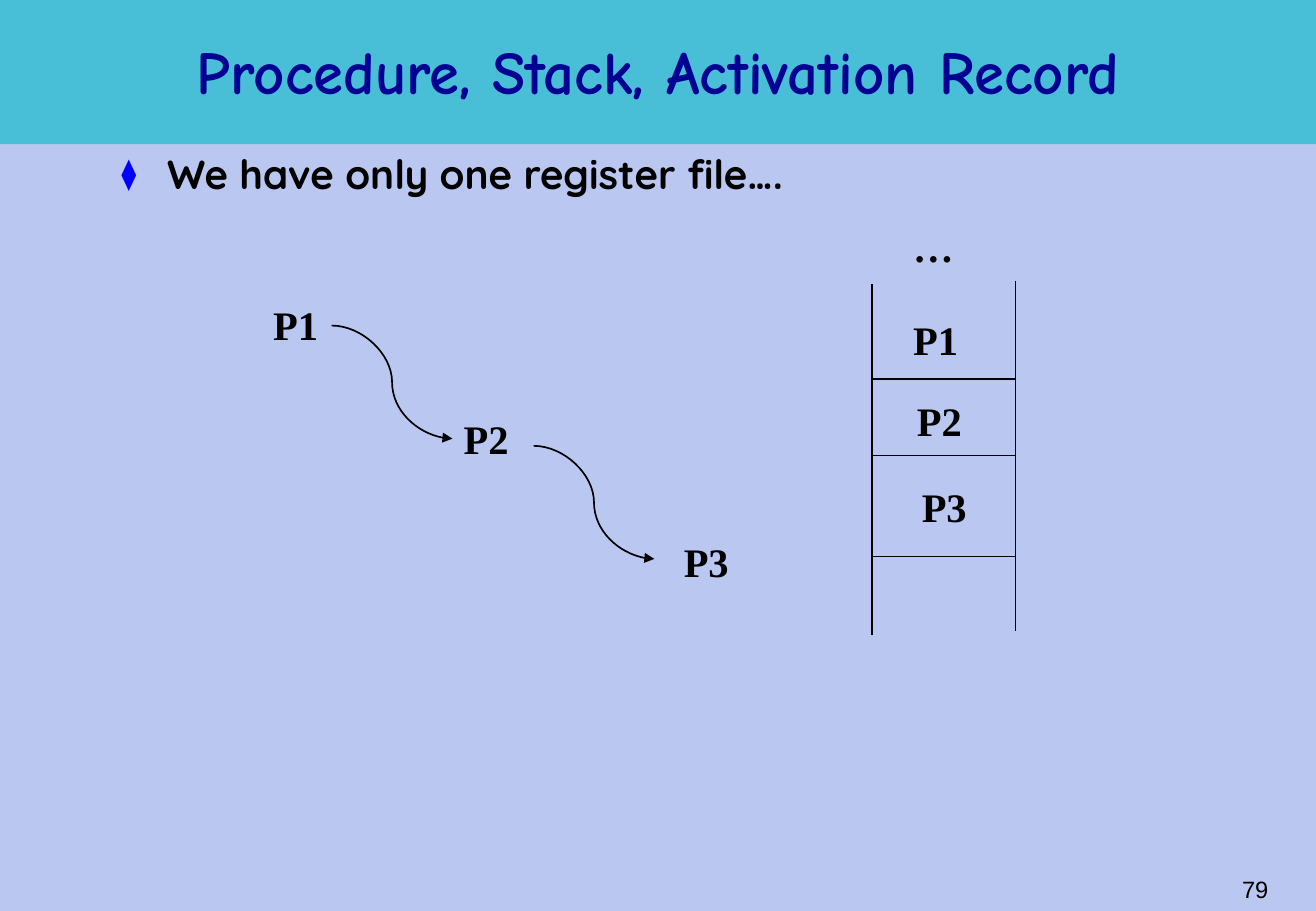
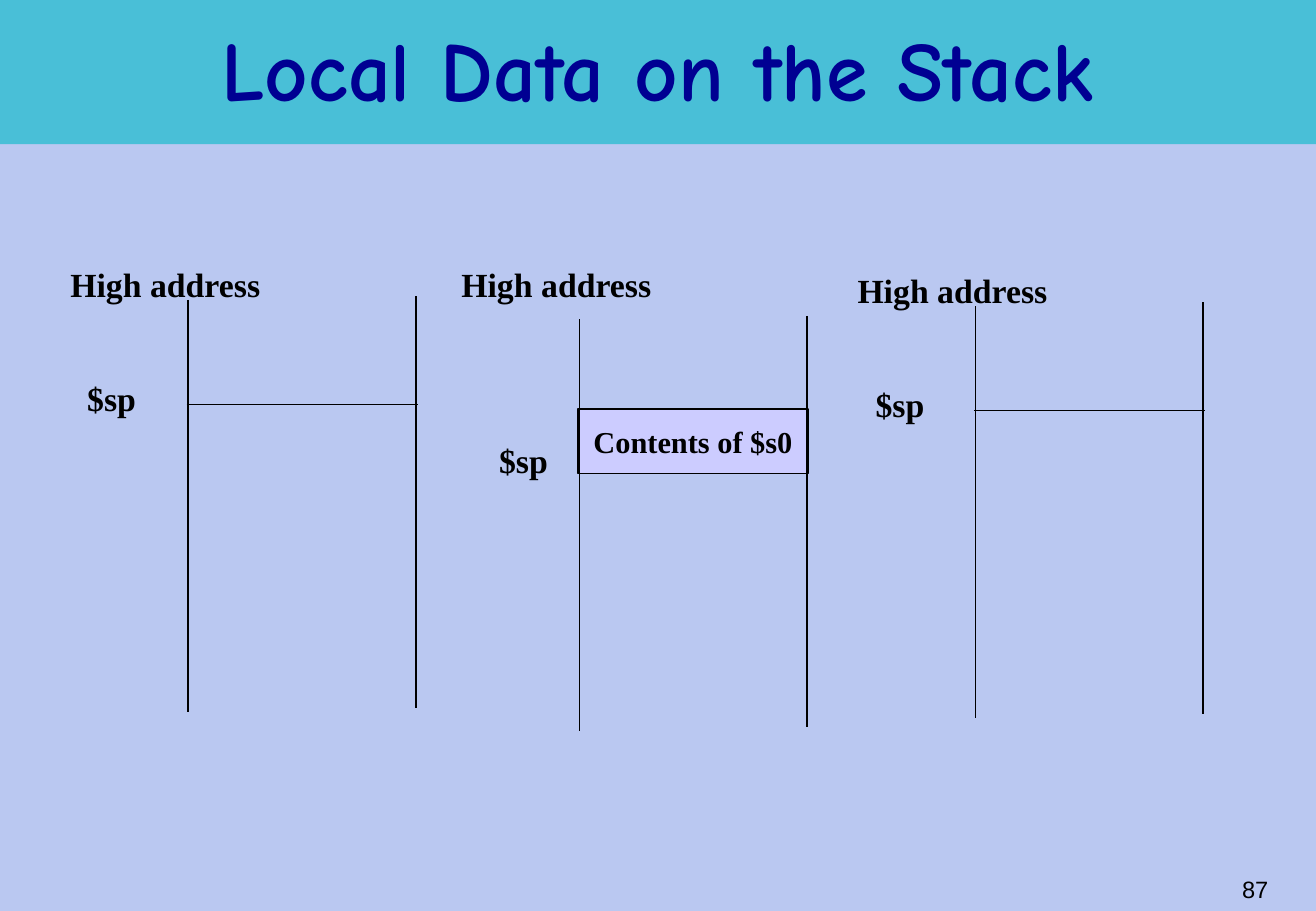
from dataclasses import dataclass

from lxml.etree import SubElement
from pptx import Presentation
from pptx.dml.color import RGBColor
from pptx.enum.shapes import MSO_CONNECTOR, MSO_SHAPE
from pptx.enum.text import MSO_ANCHOR, MSO_AUTO_SIZE, PP_ALIGN
from pptx.oxml.ns import qn
from pptx.presentation import Presentation as Deck
from pptx.shapes.autoshape import Shape
from pptx.shapes.connector import Connector
from pptx.slide import Slide
from pptx.text.text import Font
from pptx.util import Pt

BACKGROUND = RGBColor(0xBA, 0xC8, 0xF1)
BAND = RGBColor(0x49, 0xBF, 0xD7)
TITLE = RGBColor(0x00, 0x00, 0x92)
INK = RGBColor(0x00, 0x00, 0x00)
SAVED = RGBColor(0xCC, 0xCC, 0xFF)
BULLET = "0000FF"

SLIDE_WIDTH, SLIDE_HEIGHT = 780, 540
TITLE_CONTENT, TITLE_ONLY = 1, 5
WALL_RISE = 2.2
FRAME_SPAN, FRAME_HEIGHT = 135, 244


@dataclass(frozen=True)
class Label:
    text: str
    left: float
    top: float
    width: float = 41.5
    height: float = 36.5
    size: float = 24


@dataclass(frozen=True)
class Call:
    left: float
    top: float


@dataclass(frozen=True)
class Frame:
    left: float
    top: float
    address_top: float
    pointer_left: float
    pointer_top: float
    has_boundary: bool = True


PROCEDURES = [
    Label("P1", 154.8, 174.2),
    Label("P2", 267.8, 241.9),
    Label("P3", 398.2, 314.6),
]
CALLS = [Call(196.6, 193), Call(316.3, 264.3)]
RECORDS = [
    Label("…", 534.2, 128.2),
    Label("P1", 534.2, 183.4),
    Label("P2", 536.4, 231.1),
    Label("P3", 539.3, 282.2),
]
RECORD_BOUNDARIES = [224.6, 270, 329.8]
FRAMES = [
    Frame(111.6, 177.8, 152.6, 44.6, 220.3),
    Frame(343.4, 189.4, 152.6, 288.7, 257, has_boundary=False),
    Frame(578.2, 181.4, 156.2, 511.9, 223.9),
]


def style_font(font: Font, name: str, size: float,
               color: RGBColor = INK, bold: bool = True) -> None:
    font.name, font.size, font.bold = name, Pt(size), bold
    font.color.rgb = color


def place(shape: Shape, left: float, top: float, width: float, height: float) -> None:
    shape.left, shape.top = Pt(left), Pt(top)
    shape.width, shape.height = Pt(width), Pt(height)


def add_rectangle(slide: Slide, left: float, top: float, width: float,
                  height: float, fill: RGBColor) -> Shape:
    rectangle = slide.shapes.add_shape(
        MSO_SHAPE.RECTANGLE, Pt(left), Pt(top), Pt(width), Pt(height))
    rectangle.shadow.inherit = False
    rectangle.fill.solid()
    rectangle.fill.fore_color.rgb = fill
    return rectangle


def add_line(slide: Slide, x1: float, y1: float, x2: float, y2: float,
             kind: MSO_CONNECTOR = MSO_CONNECTOR.STRAIGHT) -> Connector:
    line = slide.shapes.add_connector(kind, Pt(x1), Pt(y1), Pt(x2), Pt(y2))
    line.line.color.rgb = INK
    line.line.width = Pt(1)
    SubElement(line.element.spPr, qn("a:effectLst"))
    return line


def add_call(slide: Slide, call: Call) -> None:
    arrow = add_line(slide, call.left, call.top, call.left + 71.6, call.top + 67,
                     MSO_CONNECTOR.CURVE)
    SubElement(arrow.element.spPr.find(qn("a:ln")), qn("a:tailEnd"), type="triangle")


def add_walls(slide: Slide, left: float, top: float, span: float, height: float) -> None:
    add_line(slide, left, top, left, top + height)
    add_line(slide, left + span, top - WALL_RISE,
             left + span, top + height - WALL_RISE)


def add_label(slide: Slide, label: Label) -> None:
    box = slide.shapes.add_textbox(
        Pt(label.left), Pt(label.top), Pt(label.width), Pt(label.height))
    frame = box.text_frame
    frame.text = label.text
    frame.word_wrap = False
    frame.auto_size = MSO_AUTO_SIZE.SHAPE_TO_FIT_TEXT
    style_font(frame.paragraphs[0].runs[0].font, "Times New Roman", label.size)


def add_page_number(slide: Slide, number: int) -> None:
    box = slide.shapes.add_textbox(Pt(596.2), Pt(509), Pt(162.7), Pt(36))
    frame = box.text_frame
    frame.text = str(number)
    frame.word_wrap = True
    frame.vertical_anchor = MSO_ANCHOR.MIDDLE
    paragraph = frame.paragraphs[0]
    paragraph.alignment = PP_ALIGN.RIGHT
    style_font(paragraph.runs[0].font, "Arial", 14, bold=False)


def add_slide(deck: Deck, layout: int, title: str, size: float, number: int) -> Slide:
    slide = deck.slides.add_slide(deck.slide_layouts[layout])
    heading = slide.shapes.title
    place(heading, 58.3, 9.4, 663, 71.3)
    frame = heading.text_frame
    frame.text = title
    frame.auto_size = MSO_AUTO_SIZE.NONE
    frame.vertical_anchor = MSO_ANCHOR.MIDDLE
    paragraph = frame.paragraphs[0]
    paragraph.alignment = PP_ALIGN.CENTER
    paragraph.line_spacing = 0.85
    style_font(paragraph.runs[0].font, "Comic Neue", size, TITLE)
    add_page_number(slide, number)
    return slide


def fill_body(slide: Slide, text: str) -> None:
    body = slide.placeholders[1]
    place(body, 64.8, 87.8, 663, 66.2)
    frame = body.text_frame
    frame.text = text
    frame.auto_size = MSO_AUTO_SIZE.NONE
    paragraph = frame.paragraphs[0]
    properties = paragraph._p.get_or_add_pPr()
    properties.set("marL", str(Pt(27)))
    properties.set("indent", str(-Pt(27)))
    color = SubElement(properties, qn("a:buClr"))
    SubElement(color, qn("a:srgbClr"), val=BULLET)
    SubElement(properties, qn("a:buSzPct"), val="75000")
    SubElement(properties, qn("a:buChar"), char="⧫")
    paragraph.line_spacing = 0.9
    paragraph.space_before = Pt(0)
    style_font(paragraph.runs[0].font, "Quicksand", 24)


def dress_master(deck: Deck, slide: Slide) -> None:
    master = deck.slide_master
    master.background.fill.solid()
    master.background.fill.fore_color.rgb = BACKGROUND
    band = add_rectangle(slide, 0, 0, SLIDE_WIDTH, 85.5, BAND)
    band.line.fill.background()
    master.shapes.element.insert(2, band.element)


def draw_activation_records(slide: Slide) -> None:
    fill_body(slide, "We have only one register file….")
    for label in PROCEDURES + RECORDS:
        add_label(slide, label)
    for call in CALLS:
        add_call(slide, call)
    add_walls(slide, 517, 168.5, 85, 208)
    for boundary in RECORD_BOUNDARIES:
        add_line(slide, 517, boundary, 602, boundary)


def draw_saved_register(slide: Slide) -> None:
    cell = add_rectangle(slide, 342.7, 242.6, 136.1, 38.2, SAVED)
    cell.line.color.rgb = INK
    cell.line.width = Pt(1)
    frame = cell.text_frame
    frame.text = "Contents of $s0"
    frame.word_wrap = False
    frame.vertical_anchor = MSO_ANCHOR.MIDDLE
    frame.paragraphs[0].alignment = PP_ALIGN.CENTER
    style_font(frame.paragraphs[0].runs[0].font, "Times New Roman", 18)


def draw_frame(slide: Slide, frame: Frame) -> None:
    add_walls(slide, frame.left, frame.top, FRAME_SPAN, FRAME_HEIGHT)
    add_label(slide, Label("High address", frame.left - 77, frame.address_top,
                           127.4, 31, 20))
    add_label(slide, Label("$sp", frame.pointer_left, frame.pointer_top, 43.2, 31, 20))
    if frame.has_boundary:
        boundary = frame.top + 62
        add_line(slide, frame.left - 1, boundary,
                 frame.left + FRAME_SPAN + 1, boundary)


def main() -> None:
    deck = Presentation()
    deck.slide_width, deck.slide_height = Pt(SLIDE_WIDTH), Pt(SLIDE_HEIGHT)

    records = add_slide(deck, TITLE_CONTENT, "Procedure, Stack, Activation Record", 36, 79)
    dress_master(deck, records)
    draw_activation_records(records)

    local_data = add_slide(deck, TITLE_ONLY, "Local Data on the Stack", 50, 87)
    draw_saved_register(local_data)
    for frame in FRAMES:
        draw_frame(local_data, frame)

    deck.save("out.pptx")


if __name__ == "__main__":
    main()
